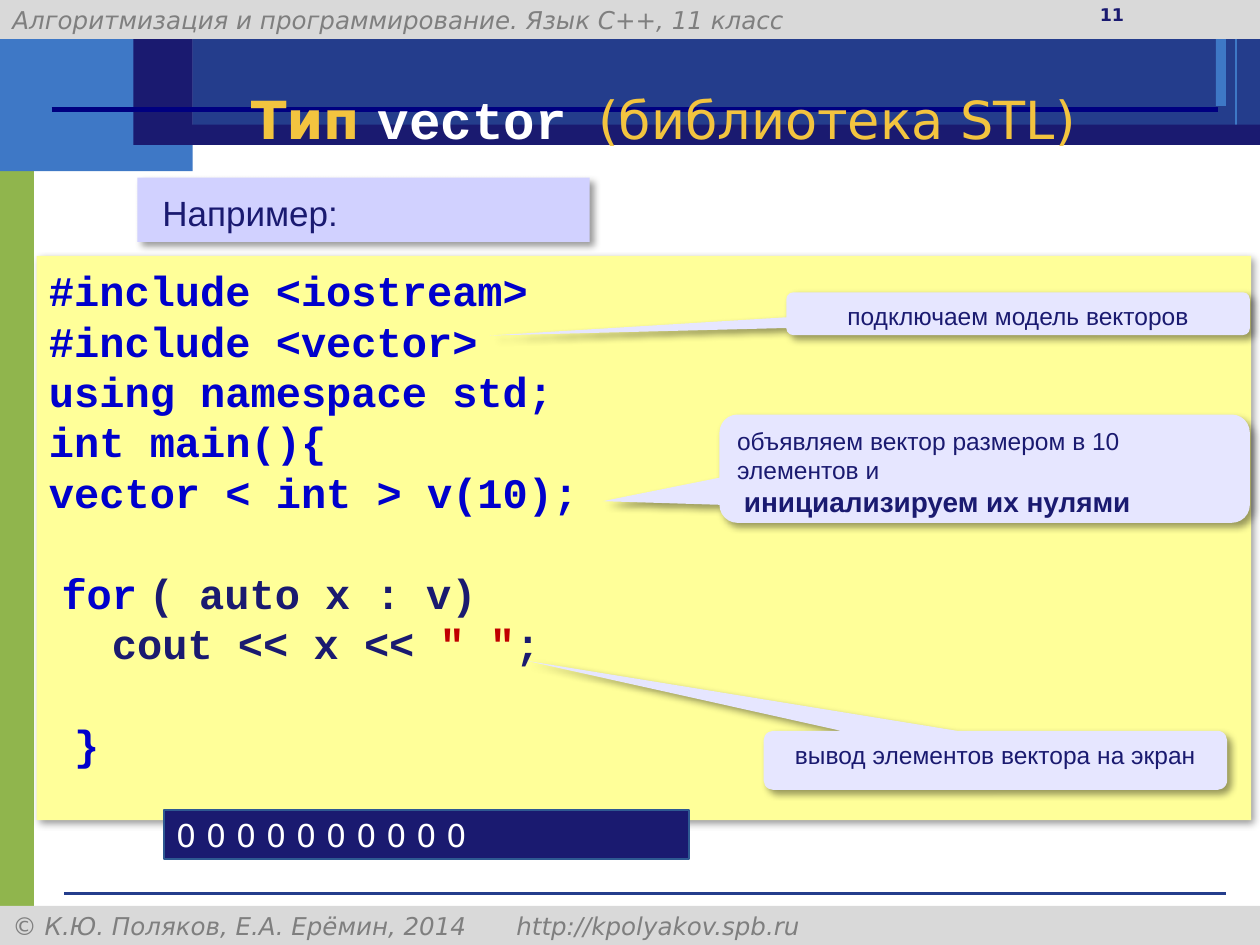
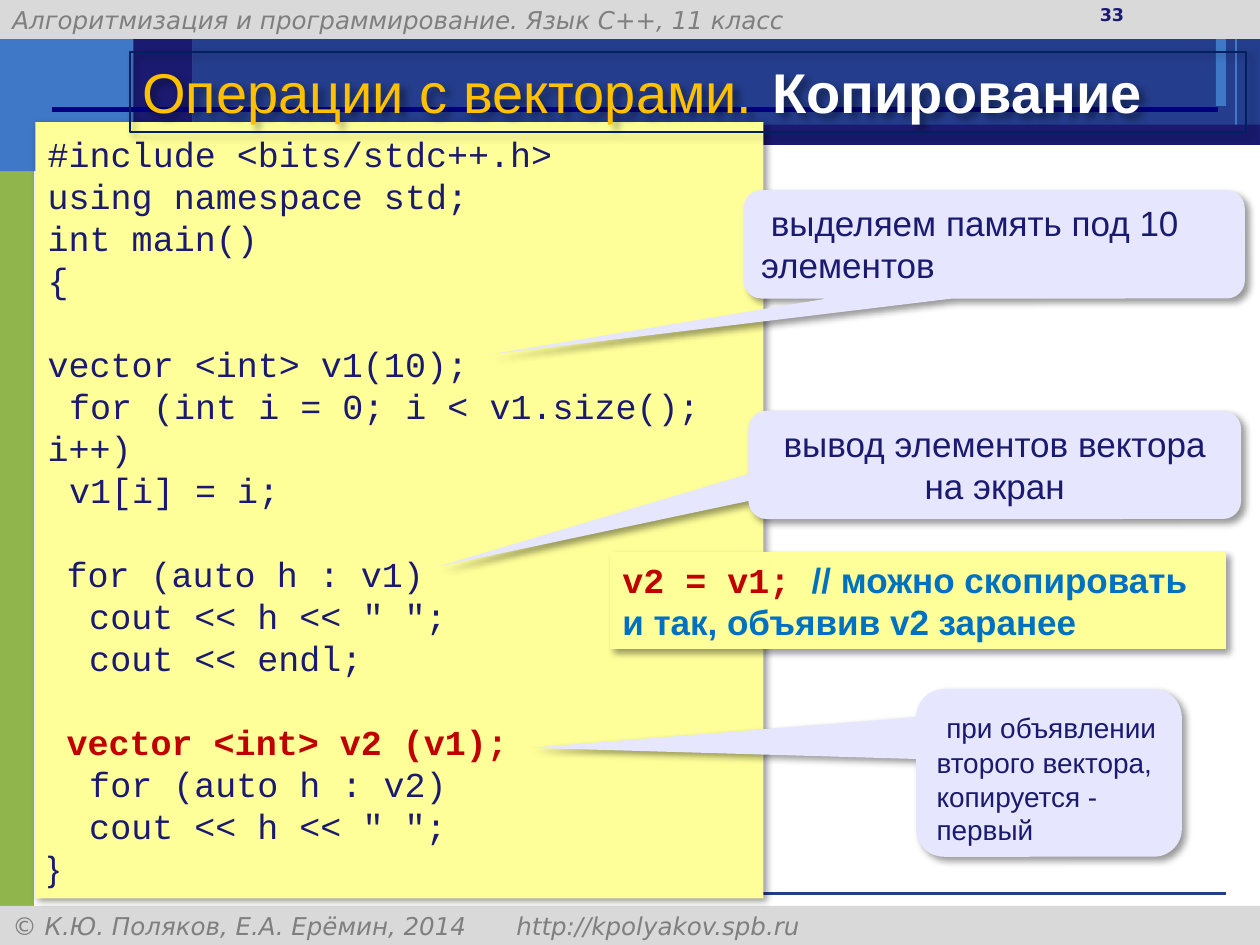
from lxml import etree
from pptx import Presentation
from pptx import util as u
from pptx.dml.color import RGBColor
from pptx.enum import shapes, text
from pptx.oxml import ns

Inches, Pt = u.Inches, u.Pt
RECT = shapes.MSO_SHAPE.RECTANGLE
CALL = shapes.MSO_SHAPE.ROUNDED_RECTANGULAR_CALLOUT
LINE = shapes.MSO_CONNECTOR.STRAIGHT
LEFT, MID = text.PP_ALIGN.LEFT, text.PP_ALIGN.CENTER
TOP, HALF = text.MSO_ANCHOR.TOP, text.MSO_ANCHOR.MIDDLE

# Colours and fonts
GREEN = RGBColor(0x90, 0xB5, 0x4D)
SKY = RGBColor(0x3E, 0x78, 0xC6)
BLUE = RGBColor(0x24, 0x3D, 0x8C)
NAVY = RGBColor(0x1A, 0x1A, 0x70)
RULE = RGBColor(0x00, 0x00, 0x80)
GREY = RGBColor(0xD9, 0xD9, 0xD9)
DIM = RGBColor(0x7F, 0x7F, 0x7F)
GOLD = RGBColor(0xF3, 0xC4, 0x3F)
AMBER = RGBColor(0xFF, 0xC0, 0x00)
WHITE = RGBColor(0xFF, 0xFF, 0xFF)
LILAC = RGBColor(0xD1, 0xD1, 0xFF)
PALE = RGBColor(0xE6, 0xE6, 0xFF)
CREAM = RGBColor(0xFF, 0xFF, 0x99)
CODE = RGBColor(0x00, 0x00, 0xCC)
RED = RGBColor(0xC0, 0x00, 0x00)
NOTE = RGBColor(0x00, 0x70, 0xC0)
EDGE = RGBColor(0x2E, 0x59, 0x92)
FRAME = RGBColor(0x00, 0x20, 0x60)
SANS, MONO, DEJA = "Arial", "Courier New", "DejaVu Sans"


def say(shape, runs, size=20, font=SANS, color=NAVY, bold=False, italic=False,
        align=LEFT, anchor=TOP, left=0, first=0, gap=0, pitch=None, tab=None):
    """Add one paragraph; runs is a string or (string, changes) pairs."""
    frame = shape.text_frame
    frame.word_wrap = True
    frame.auto_size = text.MSO_AUTO_SIZE.NONE
    frame.vertical_anchor = anchor
    para = frame.paragraphs[0]
    if para.runs:
        para = frame.add_paragraph()
    para.alignment = align
    para.space_before = Pt(gap)
    if pitch:
        para.line_spacing = Pt(pitch)
    props = para._p.get_or_add_pPr()
    props.set("marL", str(Inches(left)))
    props.set("indent", str(Inches(first)))
    if tab:
        stops = etree.SubElement(props, ns.qn("a:tabLst"))
        etree.SubElement(stops, ns.qn("a:tab"), pos=str(Inches(tab[0])), algn=tab[1])
    for words, diff in [(runs, {})] if isinstance(runs, str) else runs:
        look = dict(size=size, font=font, color=color, bold=bold, italic=italic) | diff
        run = para.add_run()
        run.text = words
        run.font.size = Pt(look["size"])
        run.font.name = look["font"]
        run.font.color.rgb = look["color"]
        run.font.bold = look["bold"]
        run.font.italic = look["italic"]


def style(shape, fill=None, line=None, width=0, shade=False):
    """Set fill, outline and soft shadow."""
    if fill is None:
        shape.fill.background()
    else:
        shape.fill.solid()
        shape.fill.fore_color.rgb = fill
    if line is None:
        shape.line.fill.background()
    else:
        shape.line.color.rgb = line
        shape.line.width = Pt(width)
    shape.shadow.inherit = False
    if shade:
        glow = shape._element.spPr.find(ns.qn("a:effectLst"))
        drop = etree.SubElement(glow, ns.qn("a:outerShdw"), blurRad=str(Pt(4)),
                                dist=str(Pt(3)), dir="2700000", algn="tl", rotWithShape="0")
        tint = etree.SubElement(drop, ns.qn("a:srgbClr"), val="000000")
        etree.SubElement(tint, ns.qn("a:alpha"), val="40000")
    return shape


deck = Presentation()
deck.slide_width, deck.slide_height = Inches(10), Inches(7.5)
plain = deck.slide_layouts[5]
one, two = deck.slides.add_slide(plain), deck.slides.add_slide(plain)

# Shared bands, rules, header and footer: drawn once, then moved to the master
decor = []
for at, fill, line in [
    ((0, 1.07, 0.27, 6.44), GREEN, None),
    ((0, 0, 1.53, 1.36), SKY, None),
    ((1.53, 0, 8.47, 1.15), BLUE, None),
    ((9.65, 0, 0.08, 0.84), SKY, None),
    ((0.2, 0.15, 9.61, 0.85), None, SKY),
    ((1.3, 0.99, 8.7, 0.16), NAVY, None),
    ((1.06, 0, 0.47, 1.15), NAVY, None),
]:
    decor.append(style(one.shapes.add_shape(RECT, *map(Inches, at)), fill, line))
for y, words in [
    (0, "Алгоритмизация и программирование. Язык C++, 11 класс"),
    (7.19, "© К.Ю. Поляков, Е.А. Ерёмин, 2014 \thttp://kpolyakov.spb.ru"),
]:
    band = style(one.shapes.add_shape(RECT, 0, Inches(y), Inches(10), Inches(0.31)), GREY)
    say(band, words, size=14, font=DEJA, color=DIM, italic=True, anchor=HALF, tab=(9.61, "r"))
    decor.append(band)
for x, end, y, color, width in [(0.51, 9.73, 7.09, BLUE, 0), (0.41, 9.67, 0.87, RULE, 3)]:
    rule = one.shapes.add_connector(LINE, Inches(x), Inches(y), Inches(end), Inches(y))
    rule.line.color.rgb = color
    rule.line.width = Pt(width)
    etree.SubElement(rule._element.spPr, ns.qn("a:effectLst"))
    decor.append(rule)
for mark, part in enumerate(decor, 101):
    part._element.xpath(".//p:cNvPr")[0].set("id", str(mark))
    deck.slide_master.shapes.element.append(part._element)

# Page numbers and title places
for page, number, at in [(one, "11", (1.89, 0.68, 7.86, 0.52)),
                         (two, "33", (1.03, 0.41, 8.86, 0.64))]:
    spot = page.shapes.add_textbox(*map(Inches, (7.66, -0.02, 2.33, 0.52)))
    say(spot, number, size=10, font=DEJA, bold=True, align=MID)
    head = page.shapes.title
    head.left, head.top, head.width, head.height = map(Inches, at)

# Titles
say(one.shapes.title, [("Тип ", {}), ("vector ", dict(font=MONO, color=WHITE)),
                       ("(библиотека STL)", dict(bold=False))],
    size=30, font=DEJA, color=GOLD, bold=True, anchor=HALF)
head = style(two.shapes.title, None, FRAME, 1, shade=True)
say(head, [("Операции с векторами.\t", {}), ("Копирование", dict(color=WHITE, bold=True))],
    size=32, color=AMBER, tab=(5.59, "l"))

# Slide 1: lead-in and code
lead = style(one.shapes.add_shape(RECT, *map(Inches, (1.09, 1.41, 3.59, 0.51))),
             LILAC, shade=True)
lead.text_frame.margin_top = Inches(0.1)
say(lead, "Например:", anchor=HALF, left=0.1)

code = style(one.shapes.add_shape(RECT, *map(Inches, (0.29, 2.03, 9.64, 4.48))),
             CREAM, shade=True)
code.text_frame.margin_top = Inches(0.07)
dark = dict(color=NAVY)
for runs, left, gap in [
    ("#include <iostream>", 0, 0),
    ("#include <vector>", 0, 0),
    ("using namespace std;", 0, 0),
    ("int main(){", 0, 0),
    ("vector < int > v(10);", 0, 0),
    ([("for", {}), (" ", dict(font=SANS)), ("( auto x : v)", dark)], 0.1, 28.8),
    ([("cout << x << ", dark), ("\" \"", dict(color=RED)), (";", dark)], 0.5, 0),
    ("}", 0.2, 28.8),
]:
    say(code, runs, size=24, font=MONO, color=CODE, bold=True, left=left, gap=gap, pitch=28.8)

# Slide 2: code and side note
code = style(two.shapes.add_shape(RECT, *map(Inches, (0.28, 0.97, 5.78, 6.16))),
             CREAM, shade=True)
code.text_frame.margin_top = Inches(0.08)
for words, first, gap, diff in [
    ("#include <bits/stdc++.h>", 0, 0, {}),
    ("using namespace std;", 0, 0, {}),
    ("int main()", 0, 0, {}),
    ("{", 0, 0, {}),
    ("vector <int> v1(10);", 0, 24, {}),
    ("for (int i = 0; i < v1.size(); i++)", 0.17, 0, {}),
    ("v1[i] = i;", 0.17, 0, {}),
    ("for (auto h : v1)", 0.15, 24, {}),
    ("cout << h << \" \";", 0.33, 0, {}),
    ("cout << endl;", 0.33, 0, {}),
    ("vector <int> v2 (v1);", 0.15, 24, dict(color=RED, bold=True)),
    ("for (auto h : v2)", 0.33, 0, {}),
    ("cout << h << \" \";", 0.33, 0, {}),
    ("}", 0, 0, dict(font=SANS)),
]:
    say(code, [(words, diff)], font=MONO, first=first, gap=gap, pitch=24)

# Callouts on both slides
for page, at, tip, align, size, lines in [
    (one, (6.24, 2.32, 3.68, 0.34), (-1.14, 0.51), MID, 14, ["подключаем модель векторов"]),
    (one, (5.71, 3.29, 4.21, 0.86), (-0.72, 0.3), LEFT, 14,
     ["объявляем вектор размером в 10 элементов и",
      [(" ", {}), ("инициализируем их нулями", dict(size=16, bold=True))]]),
    (one, (6.06, 5.8, 3.68, 0.47), (-1.01, -1.68), MID, 14,
     ["вывод элементов вектора на экран"]),
    (two, (5.94, 3.26, 3.91, 0.86), (-1.13, 0.94), MID, 20,
     ["вывод элементов вектора на экран"]),
    (two, (5.9, 1.51, 3.98, 0.86), (-1.01, 1.02), LEFT, 20,
     [" выделяем память под 10 элементов"]),
    (two, (7.27, 5.47, 2.11, 1.33), (-1.95, -0.15), LEFT, 16,
     [[(" ", dict(size=20)), ("при объявлении второго вектора, копируется - первый", {})]]),
]:
    call = style(page.shapes.add_shape(CALL, *map(Inches, at)), PALE, shade=True)
    call.adjustments[0], call.adjustments[1] = tip
    for runs in lines:
        say(call, runs, size=size, align=align)

# Slide 1: program output
out = style(one.shapes.add_shape(RECT, *map(Inches, (1.3, 6.43, 4.17, 0.39))), NAVY, EDGE, 1)
say(out, "0 0 0 0 0 0 0 0 0 0", size=18, font=DEJA, color=WHITE, anchor=HALF)

# Slide 2: side note, with the framed title on top
side = style(two.shapes.add_shape(RECT, *map(Inches, (4.84, 4.38, 4.89, 0.77))),
             CREAM, shade=True)
say(side, [("v2 = v1; ", dict(font=MONO, color=RED)),
           ("// можно скопировать и так, объявив v2 заранее", {})],
    color=NOTE, bold=True, anchor=HALF)
two.shapes.element.append(head._element)

deck.save("out.pptx")
